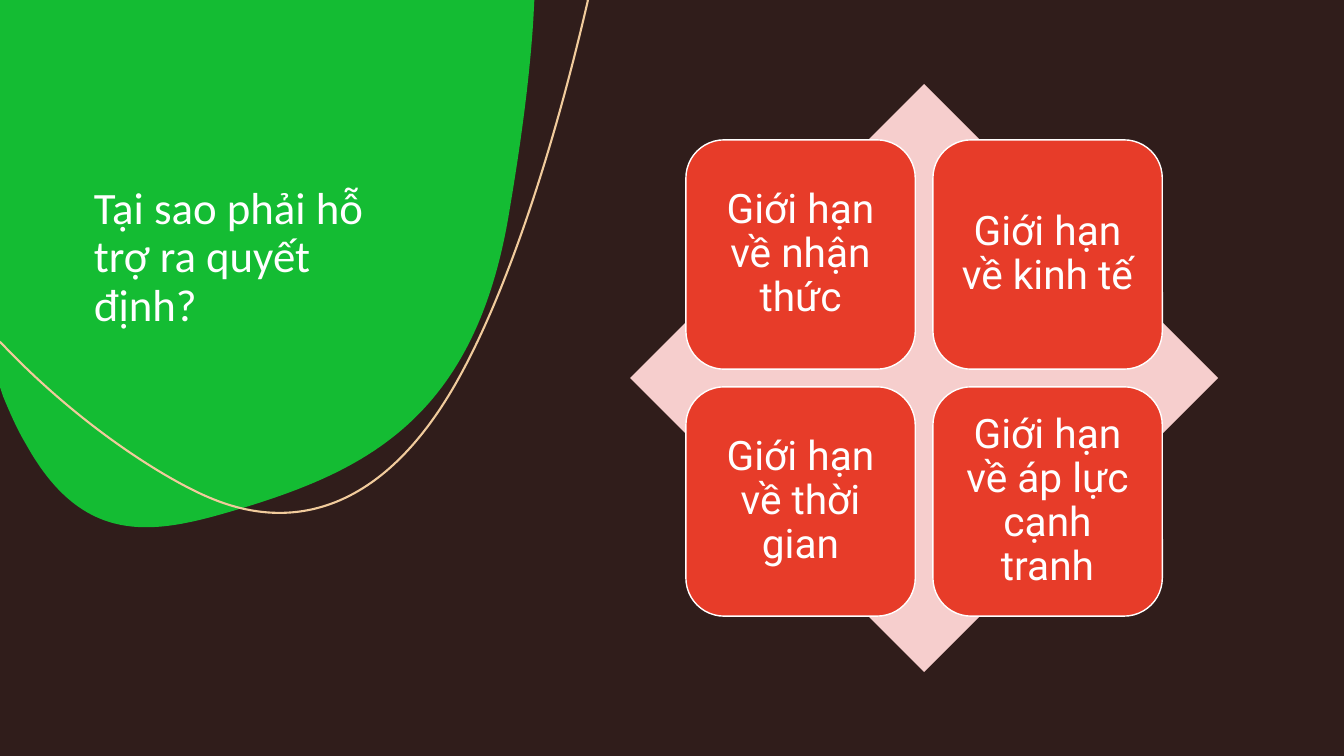
from lxml import etree
from pptx import Presentation, util as u
from pptx.dml.color import RGBColor
from pptx.enum import shapes, text
from pptx.oxml.ns import qn

W, H = 13.33, 7.5
DARK, GREEN, SAND = "301D1B", "14BC33", "F1CB9C"
PINK, RED, WHITE = "F6CECD", "E73C29", "FFFFFF"

TITLE = "Tại sao phải hỗ trợ ra quyết định?"
LIMITS = ["Giới hạn về nhận thức", "Giới hạn về kinh tế",
          "Giới hạn về thời gian", "Giới hạn về áp lực cạnh tranh"]

# Each step holds one point for a line or three for a Bezier curve.
BLOB = [[(5.29, 0.2)],
        [(5.25, 0.82), (5.16, 1.46), (5.05, 2.11)],
        [(4.72, 4.11), (3.67, 4.65), (2.44, 5.03)],
        [(1.61, 5.28), (0.86, 5.49), (0.26, 4.41)],
        [(0.17, 4.26), (0.1, 4.1), (0.03, 3.93)],
        [(0, 3.84)], [(0, 0)]]
SWEEP = [[(5.83, 0.01)],
         [(5.47, 1.57), (5.01, 2.93), (4.54, 3.77)],
         [(3.83, 5.04), (2.94, 5.29), (2.11, 4.95)],
         [(1.73, 4.8), (0.84, 4.28), (0, 3.39)]]


def color(value):
    return RGBColor.from_string(value)


def paint(sp, fill=None, line=None, width=1):
    sp.shadow.inherit = False
    if fill:
        sp.fill.solid()
        sp.fill.fore_color.rgb = color(fill)
    else:
        sp.fill.background()
    if line:
        sp.line.color.rgb = color(line)
        sp.line.width = u.Pt(width)
    else:
        sp.line.fill.background()


def write(sp, words, size, font, align, anchor, margins=None):
    tf = sp.text_frame
    tf.word_wrap = True
    tf.vertical_anchor = anchor
    if margins is not None:
        tf.margin_left = tf.margin_right = u.Inches(margins)
        tf.margin_top = tf.margin_bottom = u.Inches(margins)
    p = tf.paragraphs[0]
    p.alignment = align
    p.line_spacing = 0.9
    r = p.add_run()
    r.text = words
    r.font.size = u.Pt(size)
    r.font.name = font
    r.font.color.rgb = color(WHITE)


def add_curve(s, start, steps, height, close, **style):
    """Draw lines and Bezier curves; height is the true extent, without control points."""
    emu = [[(u.Inches(x), u.Inches(y)) for x, y in step] for step in steps]
    builder = s.shapes.build_freeform(*map(u.Inches, start))
    builder.add_line_segments([pt for step in emu for pt in step], close=close)
    sp = builder.convert_to_shape()
    path = next(sp._element.iter(qn("a:path")))
    lines = iter(path.findall(qn("a:lnTo")))
    for step in emu:
        nodes = [next(lines) for _ in step]
        if len(nodes) == 3:
            curve = etree.Element(qn("a:cubicBezTo"))
            nodes[0].addprevious(curve)
            for node in nodes:
                curve.append(node[0])
                path.remove(node)
    sp.height = u.Inches(height)
    path.set("h", str(sp.height))
    paint(sp, **style)


def add_title_panel(s, left, top, width, height):
    add_curve(s, (5.3, 0), BLOB, 5.23, True, fill=GREEN)
    add_curve(s, (5.83, 0), SWEEP, 5.09, False, line=SAND, width=1.5)
    box = s.shapes.add_textbox(*map(u.Inches, (left, top, width, height)))
    write(box, TITLE, 32, "Calibri", text.PP_ALIGN.LEFT, text.MSO_ANCHOR.BOTTOM)


def add_limit_matrix(s, left, top, side):
    """Place four tiles, two by two, over a diamond."""
    diamond = s.shapes.add_shape(shapes.MSO_SHAPE.DIAMOND,
                                 *map(u.Inches, (left, top, side, side)))
    paint(diamond, fill=PINK)
    inset, tile = side * 0.095, side * 0.39
    pitch = side - 2 * inset - tile
    for i, words in enumerate(LIMITS):
        row, col = divmod(i, 2)
        x, y = left + inset + col * pitch, top + inset + row * pitch
        sp = s.shapes.add_shape(shapes.MSO_SHAPE.ROUNDED_RECTANGLE,
                                *map(u.Inches, (x, y, tile, tile)))
        paint(sp, fill=RED, line=WHITE)
        write(sp, words, 29, "Roboto", text.PP_ALIGN.CENTER,
              text.MSO_ANCHOR.MIDDLE, margins=0.12)


def main():
    prs = Presentation()
    prs.slide_width, prs.slide_height = u.Inches(W), u.Inches(H)
    s = prs.slides.add_slide(prs.slide_layouts[6])
    s.background.fill.solid()
    s.background.fill.fore_color.rgb = color(DARK)
    add_title_panel(s, W / 16, H / 9, W / 4, H / 3)
    add_limit_matrix(s, W * 15 / 32, H / 9, H * 7 / 9)
    prs.save("out.pptx")


if __name__ == "__main__":
    main()
